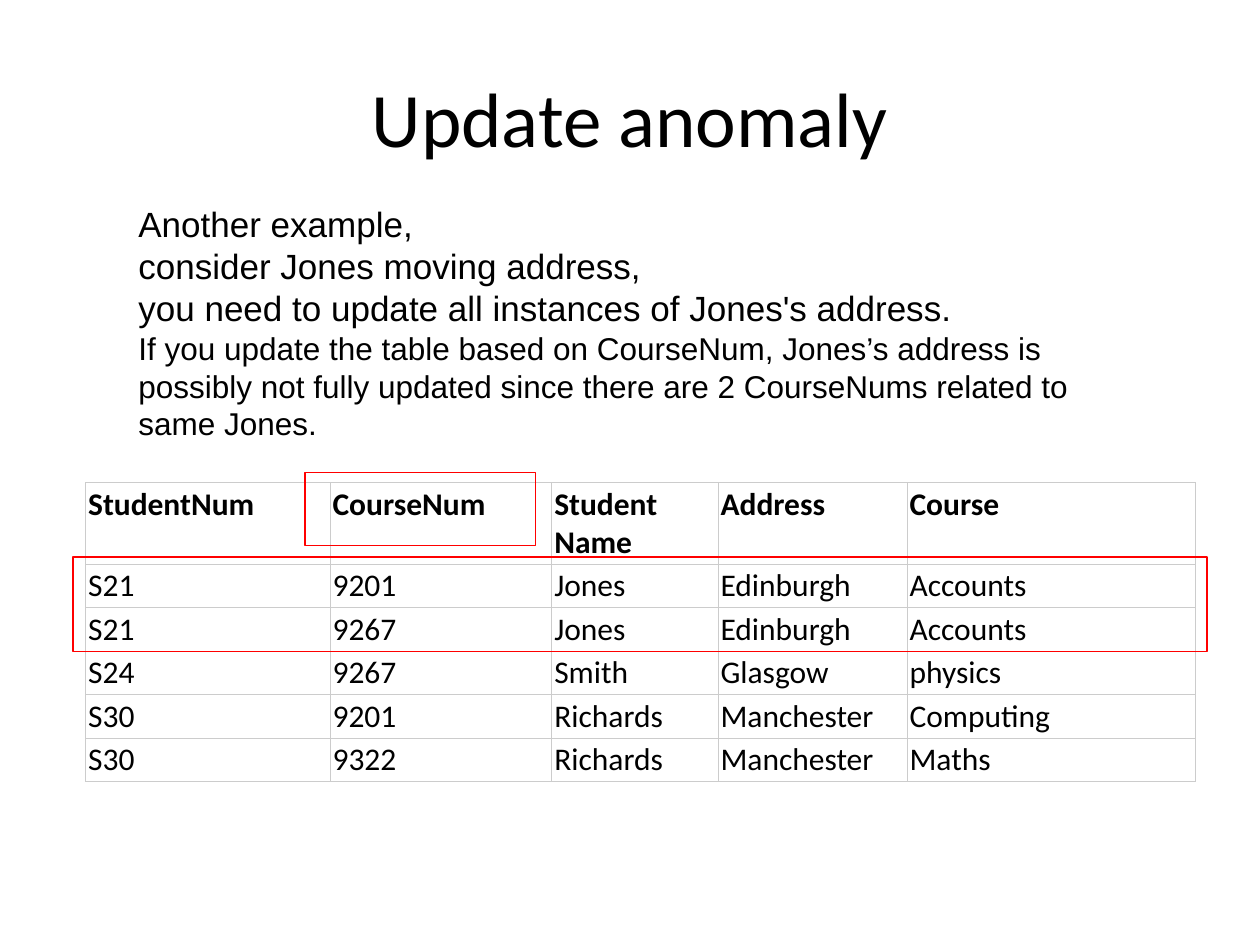
from dataclasses import dataclass

from lxml.etree import SubElement
from pptx import Presentation
from pptx.dml.color import RGBColor
from pptx.enum.shapes import MSO_SHAPE
from pptx.enum.text import MSO_ANCHOR, MSO_AUTO_SIZE, PP_ALIGN
from pptx.oxml.ns import qn
from pptx.util import Inches, Pt

TITLE = "Update anomaly"
EXPLANATION = [
    ("Another example,", "lead"),
    ("consider Jones moving address,", "lead"),
    ("you need to update all instances of Jones's address.", "lead"),
    ("If you update the table based on CourseNum, Jones’s address is", "detail"),
    ("possibly not fully updated since there are 2 CourseNums related to", "detail"),
    ("same Jones.", "detail"),
]
ENROLMENTS = [
    ("StudentNum", "CourseNum", "Student Name", "Address", "Course"),
    ("S21", "9201", "Jones", "Edinburgh", "Accounts"),
    ("S21", "9267", "Jones", "Edinburgh", "Accounts"),
    ("S24", "9267", "Smith", "Glasgow", "physics"),
    ("S30", "9201", "Richards", "Manchester", "Computing"),
    ("S30", "9322", "Richards", "Manchester", "Maths"),
]

SLIDE_SIZE = (10, 7.5)
TITLE_AREA = (0.5, 0.3, 9, 1.25)
EXPLANATION_AREA = (1, 1.55, 7.83, 2.02)
TABLE_LEFT, TABLE_TOP = 0.68, 3.83
COLUMN_WIDTHS = (1.94, 1.76, 1.32, 1.5, 2.29)
HEADER_HEIGHT, ROW_HEIGHT = 0.65, 0.34
CELL_MARGIN = 0.02
JONES_ROWS = (0.58, 4.42, 9, 0.75)
COURSE_HEADING = (2.42, 3.75, 1.83, 0.58)


@dataclass(frozen=True)
class Theme:
    heading_font: str = "Calibri"
    body_font: str = "Arial"
    ink: str = "000000"
    grid: str = "CCCCCC"
    highlight: str = "FF0000"
    title: float = 44
    lead: float = 20
    detail: float = 18
    line: float = 0.75


THEME = Theme()


def inches(area):
    return [Inches(length) for length in area]


def style(para, font, size, bold=False):
    for span in para.runs:
        span.font.name = font
        span.font.size = Pt(size)
        span.font.bold = bold
        span.font.color.rgb = RGBColor.from_string(THEME.ink)


def add_text(page, area, lines, font, align, wrap):
    box = page.shapes.add_textbox(*inches(area))
    frame = box.text_frame
    frame.word_wrap = wrap
    frame.auto_size = MSO_AUTO_SIZE.NONE if wrap else MSO_AUTO_SIZE.SHAPE_TO_FIT_TEXT
    frame.vertical_anchor = MSO_ANCHOR.MIDDLE
    frame.text = "\n".join(text for text, role in lines)
    for para, (text, role) in zip(frame.paragraphs, lines):
        para.alignment = align
        style(para, font, getattr(THEME, role))


def add_borders(cell):
    properties = cell._tc.get_or_add_tcPr()
    for position, side in enumerate(("a:lnL", "a:lnR", "a:lnT", "a:lnB")):
        border = properties.makeelement(qn(side), {"w": str(Pt(THEME.line))})
        fill = SubElement(border, qn("a:solidFill"))
        SubElement(fill, qn("a:srgbClr"), val=THEME.grid)
        properties.insert(position, border)


def add_enrolments(page):
    heights = [HEADER_HEIGHT] + [ROW_HEIGHT] * (len(ENROLMENTS) - 1)
    area = (TABLE_LEFT, TABLE_TOP, sum(COLUMN_WIDTHS), sum(heights))
    table = page.shapes.add_table(len(heights), len(COLUMN_WIDTHS), *inches(area)).table
    table.first_row = table.horz_banding = False
    for column, width in zip(table.columns, COLUMN_WIDTHS):
        column.width = Inches(width)
    for index, (row, height, values) in enumerate(zip(table.rows, heights, ENROLMENTS)):
        row.height = Inches(height)
        for cell, value in zip(row.cells, values):
            cell.margin_left = cell.margin_right = Inches(CELL_MARGIN)
            cell.margin_top = cell.margin_bottom = Inches(CELL_MARGIN)
            cell.text_frame.text = value
            style(cell.text_frame.paragraphs[0], THEME.heading_font, THEME.detail, index == 0)
            cell.fill.background()
            add_borders(cell)


def add_highlight(page, area):
    box = page.shapes.add_shape(MSO_SHAPE.RECTANGLE, *inches(area))
    box.shadow.inherit = False
    box.fill.background()
    box.line.color.rgb = RGBColor.from_string(THEME.highlight)
    box.line.width = Pt(THEME.line)


def main():
    deck = Presentation()
    deck.slide_width, deck.slide_height = inches(SLIDE_SIZE)
    page = deck.slides.add_slide(deck.slide_layouts[6])
    add_text(page, TITLE_AREA, [(TITLE, "title")], THEME.heading_font, PP_ALIGN.CENTER, True)
    add_enrolments(page)
    add_text(page, EXPLANATION_AREA, EXPLANATION, THEME.body_font, PP_ALIGN.LEFT, False)
    for area in (JONES_ROWS, COURSE_HEADING):
        add_highlight(page, area)
    deck.save("out.pptx")


if __name__ == "__main__":
    main()
